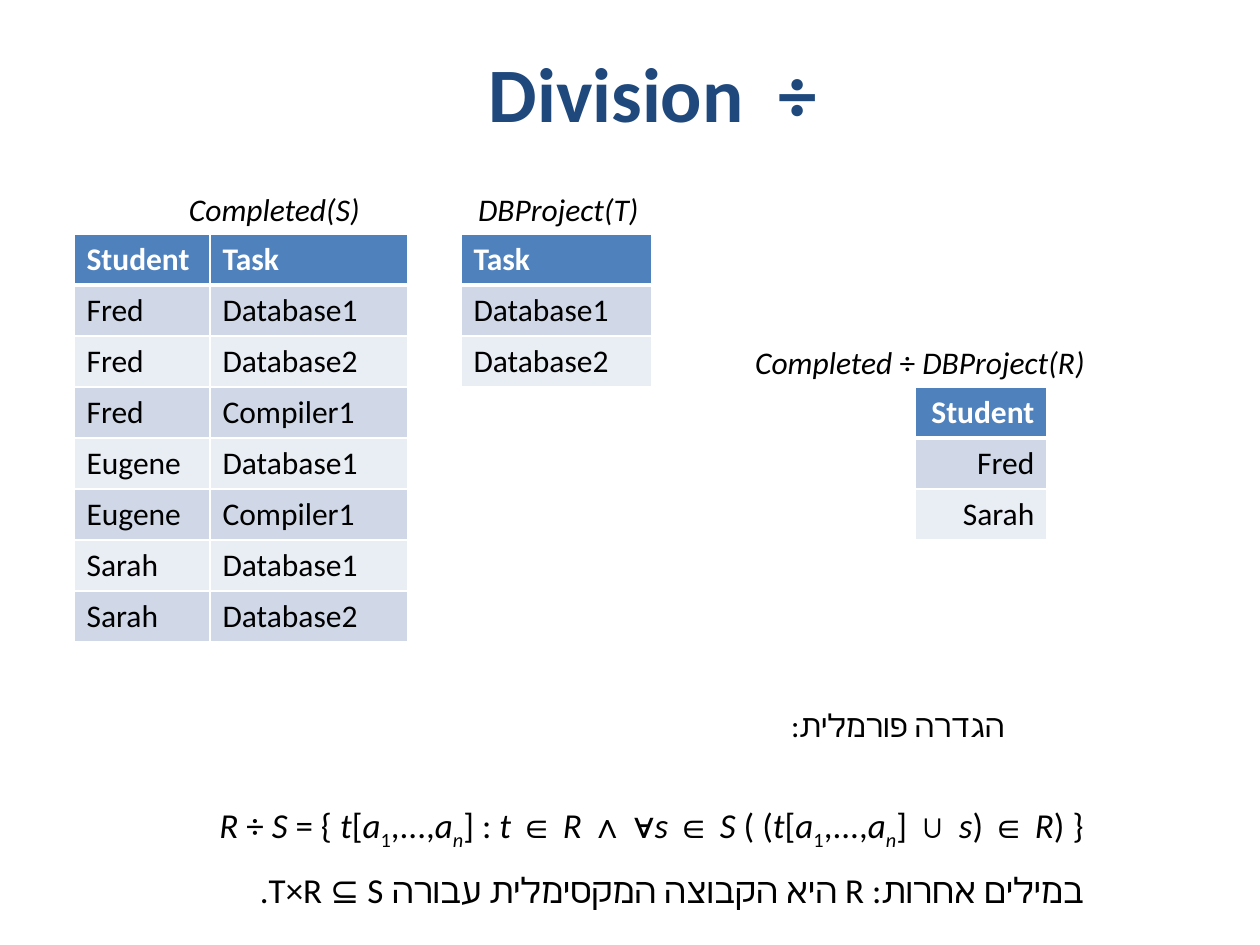
from dataclasses import dataclass

import lxml.etree
import pptx
import pptx.dml.color
import pptx.enum.text
import pptx.oxml.ns
import pptx.util

ALIGN = pptx.enum.text.PP_ALIGN
qn = pptx.oxml.ns.qn


@dataclass(frozen=True)
class Theme:
    """Colours, fonts and type sizes of the slide."""
    title: str = "1F497D"
    text: str = "000000"
    white: str = "FFFFFF"
    header: str = "4F81BD"
    bands: tuple = ("D0D8E8", "E9EDF4")
    font: str = "Calibri"
    math_font: str = "Times New Roman"
    title_size: int = 44
    body_size: int = 18
    formula_size: int = 20


THEME = Theme()


def px(n):
    """Turn picture pixels into EMU."""
    return pptx.util.Emu(round(n * 914400 / 126))


def rgb(value):
    """Return a colour object for a hex string."""
    return pptx.dml.color.RGBColor.from_string(value)


def add_run(p, text, size=THEME.body_size, color=THEME.text, font=THEME.font,
            bold=False, italic=False, base=0):
    """Append a formatted run to a paragraph."""
    r = p.add_run()
    r.text = text
    f = r.font
    f.size, f.bold, f.italic, f.name = pptx.util.Pt(size), bold, italic, font
    f.color.rgb = rgb(color)
    rPr = r._r.get_or_add_rPr()
    lxml.etree.SubElement(rPr, qn("a:cs"), typeface=font)
    if base:
        rPr.set("baseline", str(base * 1000))


def set_direction(p, align, rtl):
    """Set alignment and reading direction of a paragraph."""
    p.alignment = align
    if rtl:
        p._p.get_or_add_pPr().set("rtl", "1")


def add_text(slide, box, paragraphs, align=ALIGN.RIGHT, spacing=None, after=None):
    """Place a text box whose paragraphs are (rtl, [(text, format)]) pairs."""
    tf = slide.shapes.add_textbox(*map(px, box)).text_frame
    tf.word_wrap = True
    for i, (rtl, runs) in enumerate(paragraphs):
        p = tf.add_paragraph() if i else tf.paragraphs[0]
        set_direction(p, align, rtl)
        if spacing:
            p.line_spacing = spacing
            p.space_after = pptx.util.Pt(after)
        for text, fmt in runs:
            add_run(p, text, **fmt)


def set_borders(cell, bottom):
    """Give a cell white borders with the given bottom width in points."""
    tcPr = cell._tc.get_or_add_tcPr()
    for i, (side, width) in enumerate((("L", 1), ("R", 1), ("T", 1), ("B", bottom))):
        ln = lxml.etree.Element(qn("a:ln" + side), w=str(width * 12700))
        fill = lxml.etree.SubElement(ln, qn("a:solidFill"))
        lxml.etree.SubElement(fill, qn("a:srgbClr"), val=THEME.white)
        tcPr.insert(i, ln)


def add_relation(slide, left, top, widths, rows, caption_box, caption, rtl=False):
    """Place a relation as a banded table with its caption."""
    row_height = 51
    table = slide.shapes.add_table(len(rows), len(widths), px(left), px(top),
                                   px(sum(widths)), px(row_height * len(rows))).table
    for col, width in zip(table.columns, widths):
        col.width = px(width)
    for i, row in enumerate(rows):
        table.rows[i].height = px(row_height)
        head = i == 0
        for j, text in enumerate(row):
            cell = table.cell(i, j)
            cell.fill.solid()
            cell.fill.fore_color.rgb = rgb(THEME.header if head else THEME.bands[(i - 1) % 2])
            set_borders(cell, 3 if head else 1)
            p = cell.text_frame.paragraphs[0]
            set_direction(p, ALIGN.RIGHT if rtl else ALIGN.LEFT, rtl)
            add_run(p, text, bold=head, color=THEME.white if head else THEME.text)
    add_text(slide, caption_box, [(True, caption)])


def add_definition(slide, heading_box, formula_box):
    """Place the formal definition: heading, formula and wording."""
    add_text(slide, heading_box, [(True, [("הגדרה פורמלית:", {})])])
    plain = dict(size=THEME.formula_size)
    var = dict(plain, italic=True)
    sub, var_sub = dict(plain, base=-25), dict(var, base=-25)
    sign = dict(plain, font=THEME.math_font)
    tup = [("t", var), ("[", plain), ("a", var), ("1", sub), (",...,", plain),
           ("a", var), ("n", var_sub)]
    member = ("∈\u00a0", sign)
    formula = [("R", var), ("\u00a0÷\u00a0", plain), ("S", var), ("\u00a0= {\u00a0", plain),
               *tup, ("]\u00a0:\u00a0", plain), ("t\u00a0", var), member, ("R\u00a0", var),
               ("∧ ∀", sign), ("s\u00a0", var), member, ("S", var), ("\u00a0( (", plain),
               *tup, ("] ", plain), ("∪\u00a0", sign), ("s", var), (") ", plain),
               member, ("R", var), (") }", plain)]
    wording = [("במילים אחרות: R היא הקבוצה המקסימלית עבורה T×R ⊆ S.", plain)]
    add_text(slide, formula_box, [(False, formula), (True, wording)], spacing=1.07, after=8)


def build():
    """Build the slide and save it."""
    prs = pptx.Presentation()
    prs.slide_width, prs.slide_height = px(1260), px(945)
    slide = prs.slides.add_slide(prs.slide_layouts[6])
    italic = dict(italic=True)
    completed = [("Student", "Task"), ("Fred", "Database1"), ("Fred", "Database2"),
                 ("Fred", "Compiler1"), ("Eugene", "Database1"), ("Eugene", "Compiler1"),
                 ("Sarah", "Database1"), ("Sarah", "Database2")]
    project = [("Task",), ("Database1",), ("Database2",)]
    quotient = [("Student",), ("Fred",), ("Sarah",)]
    add_text(slide, (246, 39, 814, 174),
             [(False, [("Division\u00a0 ÷", dict(size=THEME.title_size, color=THEME.title,
                                                 bold=True))])], align=ALIGN.CENTER)
    add_relation(slide, 74, 234, (136, 198), completed,
                 (74, 184, 298, 50), [("(S)Completed", italic)])
    add_relation(slide, 461, 234, (191,), project,
                 (423, 184, 228, 50), [("(T)DBProject", italic)])
    add_relation(slide, 915, 387, (132,), quotient, (740, 337, 357, 50),
                 [("(R)Completed", italic), ("\u00a0÷\u00a0", {}), ("DBProject", italic)],
                 rtl=True)
    add_definition(slide, (653, 700, 364, 50), (174, 794, 922, 115))
    prs.save("out.pptx")


build()
